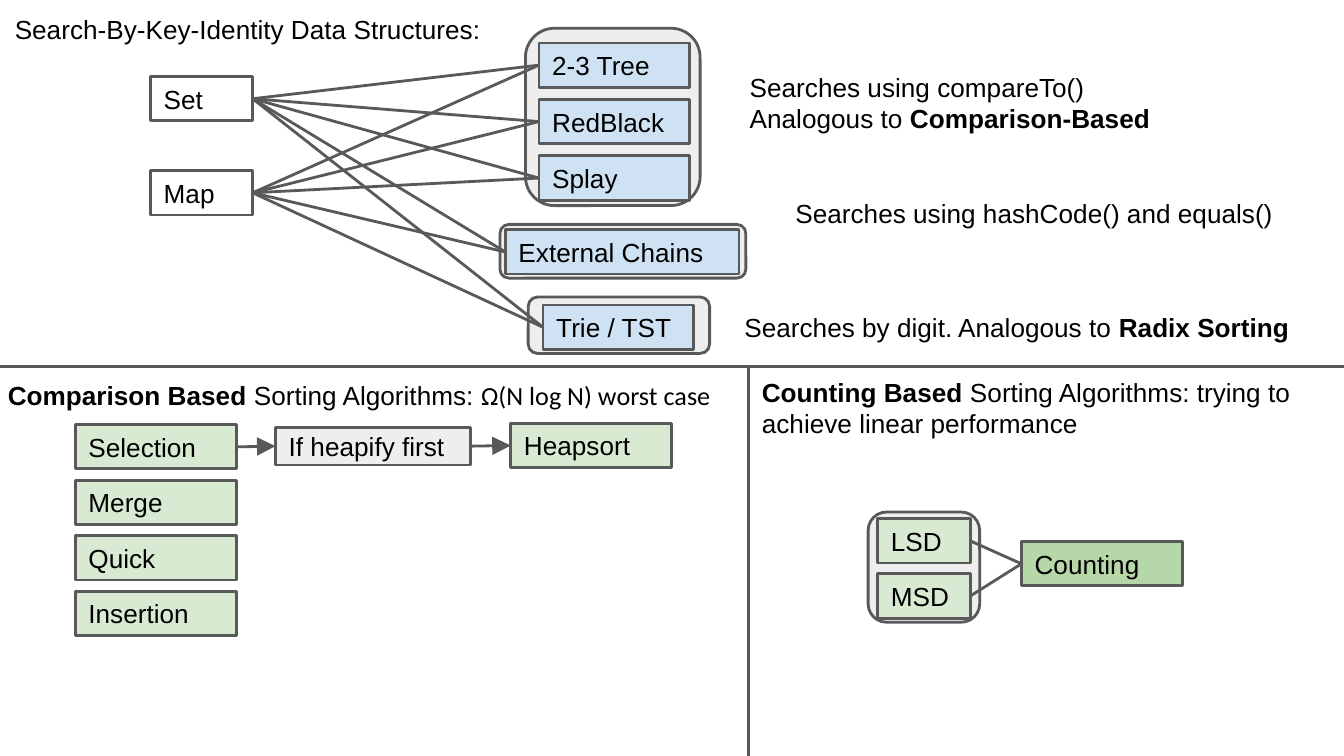
from dataclasses import dataclass

from lxml import etree
from pptx import Presentation
from pptx.dml.color import RGBColor
from pptx.enum.shapes import MSO_CONNECTOR, MSO_SHAPE
from pptx.enum.text import MSO_ANCHOR, MSO_AUTO_SIZE, PP_ALIGN
from pptx.oxml.ns import qn
from pptx.util import Inches, Pt

RECT, ROUNDED = MSO_SHAPE.RECTANGLE, MSO_SHAPE.ROUNDED_RECTANGLE
STRAIGHT = MSO_CONNECTOR.STRAIGHT
TOP, MIDDLE = MSO_ANCHOR.TOP, MSO_ANCHOR.MIDDLE
LEFT_SITE, RIGHT_SITE = 1, 3


@dataclass(frozen=True)
class Theme:
    ink: str = "000000"
    line: str = "595959"
    white: str = "FFFFFF"
    panel: str = "EEEEEE"
    search: str = "CFE2F3"
    sort: str = "D9EAD3"
    counting: str = "B6D7A8"
    font: str = "Arial"
    formula_font: str = "Calibri"
    text_size: float = 14
    line_width: float = 1.5


theme = Theme()
BOX_HEIGHT = 0.33


def write(frame, paragraphs, anchor):
    """Fill a text frame; each paragraph is a list of (text, bold, font name)."""
    layout = dict(word_wrap=True, auto_size=MSO_AUTO_SIZE.NONE, vertical_anchor=anchor)
    for side in ("left", "right", "top", "bottom"):
        layout[f"margin_{side}"] = Inches(0.1)
    for name, value in layout.items():
        setattr(frame, name, value)
    for number, runs in enumerate(paragraphs):
        paragraph = frame.add_paragraph() if number else frame.paragraphs[0]
        paragraph.alignment = PP_ALIGN.LEFT
        for text, bold, font_name in runs:
            run = paragraph.add_run()
            run.text = text
            run_format = dict(name=font_name, size=Pt(theme.text_size), bold=bold)
            for name, value in run_format.items():
                setattr(run.font, name, value)
            run.font.color.rgb = RGBColor.from_string(theme.ink)


def style_line(line):
    line.color.rgb = RGBColor.from_string(theme.line)
    line.width = Pt(theme.line_width)


prs = Presentation()
prs.slide_width = Inches(10)
prs.slide_height = prs.slide_width * 9 // 16
slide = prs.slides.add_slide(prs.slide_layouts[5])
shapes = slide.shapes

# Heading
heading = shapes.title
position = dict(left=0.01, top=0, width=4.31, height=0.33)
for name, value in position.items():
    setattr(heading, name, Inches(value))
write(heading.text_frame,
      [[("Search-By-Key-Identity Data Structures:", False, theme.font)]], TOP)

# Panels first, so that the boxes lie on them
panels = [
    (ROUNDED, "", 3.93, 2.21, 1.35, 0.42, theme.panel),
    (ROUNDED, "", 3.72, 1.67, 1.83, 0.40, theme.panel),
    (ROUNDED, "", 3.91, 0.21, 1.30, 1.32, theme.panel),
    (ROUNDED, "", 6.46, 3.81, 0.83, 0.82, theme.panel),
]
boxes = [
    (RECT, "Set", 1.12, 0.57, 0.76, BOX_HEIGHT, theme.white),
    (RECT, "Map", 1.12, 1.27, 0.76, BOX_HEIGHT, theme.white),
    (RECT, "External Chains", 3.76, 1.71, 1.74, BOX_HEIGHT, theme.search),
    (RECT, "Trie / TST", 4.04, 2.27, 1.12, BOX_HEIGHT, theme.search),
    (RECT, "If heapify first", 2.05, 3.18, 1.45, 0.28, theme.panel),
    (RECT, "Heapsort", 3.80, 3.15, 1.20, BOX_HEIGHT, theme.sort),
    (RECT, "Counting", 7.60, 4.03, 1.20, BOX_HEIGHT, theme.counting),
]
# Evenly spaced stacks: names, left, first top, last top, width, fill
stacks = [
    (("2-3 Tree", "RedBlack", "Splay"), 4.01, 0.32, 1.16, 1.12, theme.search),
    (("Selection", "Merge", "Quick", "Insertion"), 0.56, 3.16, 4.40, 1.20, theme.sort),
    (("LSD", "MSD"), 6.53, 3.86, 4.27, 0.69, theme.sort),
]
for names, left, first_top, last_top, width, fill in stacks:
    step = (last_top - first_top) / (len(names) - 1)
    for row, name in enumerate(names):
        boxes.append((RECT, name, left, first_top + row * step, width, BOX_HEIGHT, fill))

nodes = {}
for kind, label, left, top, width, height, fill in panels + boxes:
    node = shapes.add_shape(kind, Inches(left), Inches(top), Inches(width), Inches(height))
    node.shadow.inherit = False
    node.fill.solid()
    node.fill.fore_color.rgb = RGBColor.from_string(fill)
    style_line(node.line)
    if label:
        write(node.text_frame, [[(label, False, theme.font)]], MIDDLE)
        nodes[label] = node

# Links between boxes: from, to, has an arrowhead
structures = ("2-3 Tree", "RedBlack", "Splay", "External Chains", "Trie / TST")
links = [(key, structure, False) for key in ("Set", "Map") for structure in structures]
links += [(radix, "Counting", False) for radix in ("LSD", "MSD")]
links += [("Selection", "If heapify first", True), ("If heapify first", "Heapsort", True)]

connectors = []
for start, end, has_arrow in links:
    link = shapes.add_connector(STRAIGHT, 0, 0, 0, 0)
    link.begin_connect(nodes[start], RIGHT_SITE)
    link.end_connect(nodes[end], LEFT_SITE)
    connectors.append((link, has_arrow))

# Dividers between the three sections
for ends in ((-0.01, 2.73, 10.01, 2.73), (5.57, 2.73, 5.57, 5.64)):
    divider = shapes.add_connector(STRAIGHT, *(Inches(value) for value in ends))
    connectors.append((divider, False))

for connector, has_arrow in connectors:
    style_line(connector.line)
    if has_arrow:
        outline = connector.line._get_or_add_ln()
        etree.SubElement(outline, qn("a:tailEnd"), type="triangle", w="lg", len="lg")
    etree.SubElement(connector._element.spPr, qn("a:effectLst"))

# Remarks on searching and section headings
captions = [
    (5.48, 0.43, 3.30, 0.42, [
        [("Searches using compareTo()", False, theme.font)],
        [("Analogous to ", False, theme.font), ("Comparison-Based", True, theme.font)],
    ]),
    (5.82, 1.37, 3.94, 0.42, [
        [("Searches using hashCode() and equals()", False, theme.font)],
    ]),
    (5.44, 2.22, 4.65, 0.42, [
        [("Searches by digit. Analogous to ", False, theme.font),
         ("Radix Sorting", True, theme.font)],
    ]),
    (-0.04, 2.72, 5.71, 0.33, [
        [("Comparison Based ", True, theme.font),
         ("Sorting Algorithms: ", False, theme.font),
         ("Ω(N log N) worst case", False, theme.formula_font)],
    ]),
    (5.57, 2.70, 4.52, 0.33, [
        [("Counting Based", True, theme.font),
         (" Sorting Algorithms: trying to achieve linear performance", False, theme.font)],
    ]),
]
for left, top, width, height, paragraphs in captions:
    caption = shapes.add_textbox(Inches(left), Inches(top), Inches(width), Inches(height))
    write(caption.text_frame, paragraphs, TOP)

prs.save("out.pptx")
